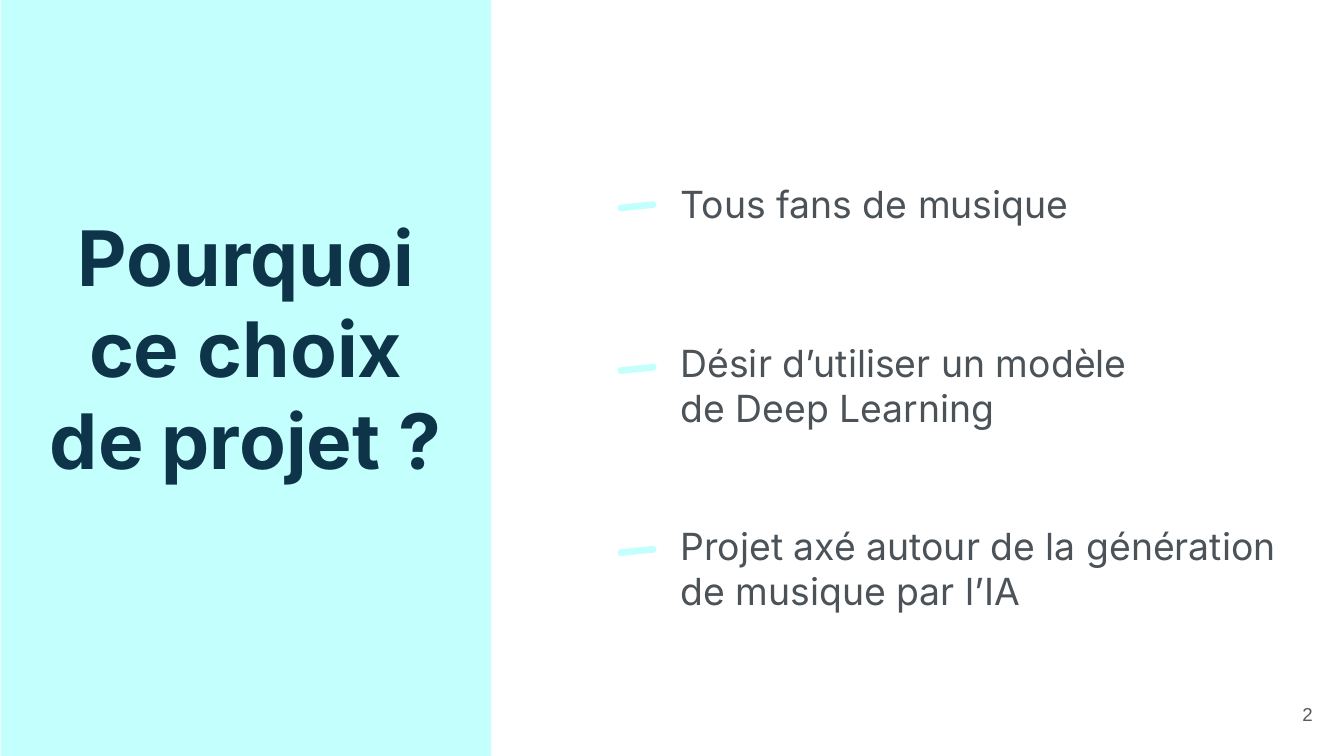
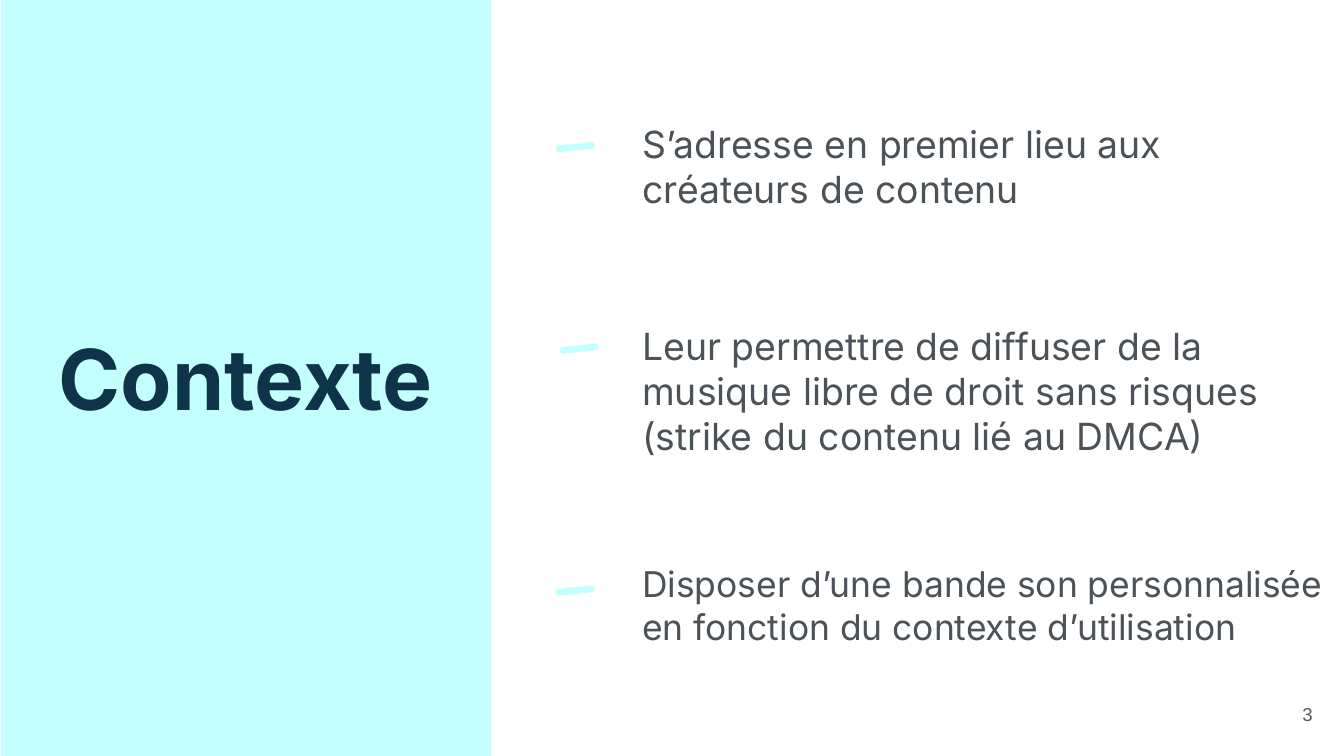
from pptx import Presentation
from pptx.dml.color import RGBColor
from pptx.enum.shapes import MSO_SHAPE
from pptx.enum.text import MSO_ANCHOR, PP_ALIGN
from pptx.util import Emu, Pt

PX = 4572  # EMU per px, 200 px to the inch
AQUA, NAVY, SLATE, GREY = "C3FFFC", "0E3449", "4B5258", "595959"
FONT, NUMBER_FONT = "Inter", "Arial"


def px(*lengths):
    return [Emu(n * PX) for n in lengths]


def rgb(value):
    return RGBColor.from_string(value)


def add_block(s, kind, box, rotation=0):
    """Flat aqua shape without outline."""
    sp = s.shapes.add_shape(kind, *px(*box))
    sp.shadow.inherit = False
    sp.fill.solid()
    sp.fill.fore_color.rgb = rgb(AQUA)
    sp.line.fill.background()
    sp.rotation = rotation
    return sp


def add_text(s, box, lines, size, color, font=FONT, bold=False,
             align=PP_ALIGN.LEFT, anchor=MSO_ANCHOR.TOP):
    tf = s.shapes.add_textbox(*px(*box)).text_frame
    tf.word_wrap = True
    tf.vertical_anchor = anchor
    tf.margin_left, tf.margin_top, tf.margin_right, tf.margin_bottom = px(20, 20, 20, 20)
    for i, line in enumerate(lines):
        p = tf.add_paragraph() if i else tf.paragraphs[0]
        p.alignment = align
        r = p.add_run()
        r.text = line
        r.font.name = font
        r.font.size = Pt(size)
        r.font.bold = bold
        r.font.color.rgb = rgb(color)


def add_dash(s, left, top):
    sp = add_block(s, MSO_SHAPE.ROUNDED_RECTANGLE, (left, top, 58, 10), 354.1)
    sp.adjustments[0] = 0.5


def add_point(s, box, dash, lines, size=20):
    """One statement with its slanted dash."""
    add_text(s, box, lines, size, SLATE)
    add_dash(s, *dash)


def add_base(prs, number, title, top, height, size):
    """Slide with the side band, its title and the page number."""
    s = prs.slides.add_slide(prs.slide_layouts[6])
    s.background.fill.solid()
    s.background.fill.fore_color.rgb = rgb("FFFFFF")
    add_block(s, MSO_SHAPE.RECTANGLE, (1, -3, 730, 1128))
    add_text(s, (49, top, 634, height), [title], size, NAVY, bold=True,
             align=PP_ALIGN.CENTER)
    add_text(s, (1853, 1020, 120, 86), [str(number)], 10, GREY, NUMBER_FONT,
             align=PP_ALIGN.RIGHT, anchor=MSO_ANCHOR.MIDDLE)
    return s


def add_reasons(prs):
    s = add_base(prs, 2, "Pourquoi ce choix de projet ?", 292, 454, 41)
    for top, height, dash_top, lines in (
        (250, 116, 302, ["Tous fans de musique"]),
        (486, 174, 544, ["Désir d’utiliser un modèle", "de Deep Learning"]),
        (759, 164, 815, ["Projet axé autour de la génération",
                         "de musique par l’IA"]),
    ):
        add_point(s, (993, top, 1162, height), (919, dash_top), lines)


def add_context(prs):
    s = add_base(prs, 3, "Contexte", 466, 192, 45)
    add_point(s, (936, 161, 1162, 192), (827, 214),
              ["S’adresse en premier lieu aux", "créateurs de contenu"])
    add_point(s, (936, 461, 1162, 248), (833, 514),
              ["Leur permettre de diffuser de la",
               "musique libre de droit sans risques",
               "(strike du contenu lié au DMCA)"])
    add_point(s, (936, 817, 1076, 210), (827, 874),
              ["Disposer d’une bande son personnalisée",
               "en fonction du contexte d’utilisation"], 19)


def main():
    prs = Presentation()
    prs.slide_width, prs.slide_height = px(2000, 1125)
    add_reasons(prs)
    add_context(prs)
    prs.save("out.pptx")


if __name__ == "__main__":
    main()
